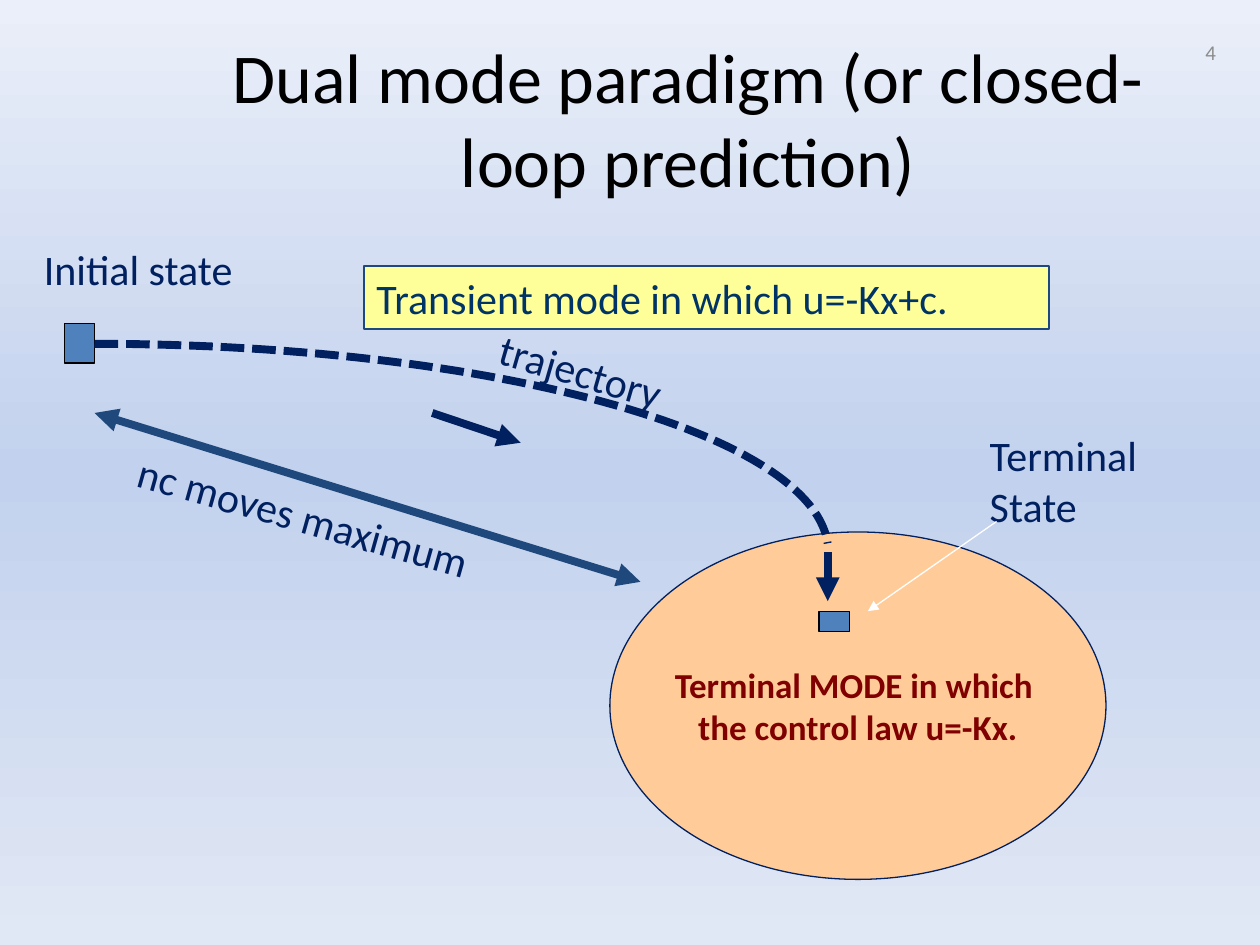
from copy import deepcopy

from lxml.etree import SubElement
from pptx import Presentation
from pptx.dml.color import RGBColor
from pptx.enum.dml import MSO_LINE
from pptx.enum.shapes import MSO_CONNECTOR, MSO_SHAPE
from pptx.enum.text import MSO_ANCHOR, MSO_AUTO_SIZE, PP_ALIGN
from pptx.oxml.ns import qn
from pptx.util import Pt

NAVY = RGBColor(0x00, 0x20, 0x60)
BLUE = RGBColor(0x1F, 0x49, 0x7D)
STATE_BLUE = RGBColor(0x4F, 0x81, 0xBD)
TEAL = RGBColor(0x00, 0x33, 0x66)
MAROON = RGBColor(0x80, 0x00, 0x00)
PEACH = RGBColor(0xFF, 0xCC, 0x99)
YELLOW = RGBColor(0xFF, 0xFF, 0x99)
GREY = RGBColor(0x8C, 0x8C, 0x8C)
BLACK = RGBColor(0x00, 0x00, 0x00)
WHITE = RGBColor(0xFF, 0xFF, 0xFF)
SKY = [RGBColor(0xEA, 0xEF, 0xF9), RGBColor(0xC2, 0xD1, 0xED), RGBColor(0xE1, 0xE8, 0xF5)]


def write(shape, text, size=24, color=NAVY, bold=False, align=PP_ALIGN.LEFT,
          anchor=MSO_ANCHOR.TOP, wrap=True):
    frame = shape.text_frame
    frame.text = text
    frame.word_wrap = wrap
    frame.auto_size = MSO_AUTO_SIZE.NONE
    frame.vertical_anchor = anchor
    for paragraph in frame.paragraphs:
        paragraph.alignment = align
        font = paragraph.font
        font.name, font.size, font.bold = "Calibri", Pt(size), bold
        font.color.rgb = color


def add_filled(preset, left, top, width, height, fill, line):
    shape = slide.shapes.add_shape(preset, Pt(left), Pt(top), Pt(width), Pt(height))
    shape.shadow.inherit = False
    shape.fill.solid()
    shape.fill.fore_color.rgb = fill
    shape.line.color.rgb = line
    shape.line.width = Pt(0.75)
    return shape


presentation = Presentation()
presentation.slide_width, presentation.slide_height = Pt(720), Pt(540)
slide = presentation.slides.add_slide(presentation.slide_layouts[5])

background = slide.background.fill
background.gradient()
background.gradient_angle = 270
stop_list = slide.element.find(".//" + qn("a:gsLst"))
stop_list.append(deepcopy(stop_list[-1]))
for stop, color, position in zip(background.gradient_stops, SKY, (0, 0.5, 1)):
    stop.color.rgb = color
    stop.position = position

title = slide.shapes.title
title.left, title.top, title.width, title.height = Pt(105), Pt(11.5), Pt(576), Pt(111.5)
write(title, "Dual mode paradigm (or closed-loop prediction)", size=40, color=BLACK,
      align=PP_ALIGN.CENTER, anchor=MSO_ANCHOR.MIDDLE)

number = slide.shapes.add_textbox(Pt(552), Pt(12), Pt(150), Pt(36))
write(number, "4", size=12, color=GREY, align=PP_ALIGN.RIGHT, anchor=MSO_ANCHOR.MIDDLE)

terminal_region = add_filled(MSO_SHAPE.OVAL, 348.5, 304, 283.5, 198.5, PEACH, NAVY)
write(terminal_region, "Terminal MODE in which \nthe control law u=-Kx.", size=20,
      color=MAROON, bold=True, align=PP_ALIGN.CENTER, anchor=MSO_ANCHOR.MIDDLE, wrap=False)

add_filled(MSO_SHAPE.RECTANGLE, 36.75, 185, 17.25, 22.5, STATE_BLUE, BLACK)

curve = [(54, 196.5), (278.5, 196.5), (463.5, 246.5), (473, 310.5)]
steps = 60
points = []
for step in range(steps + 1):
    t = step / steps
    weights = ((1 - t) ** 3, 3 * t * (1 - t) ** 2, 3 * t * t * (1 - t), t ** 3)
    points.append([Pt(sum(w * point[axis] for w, point in zip(weights, curve))) for axis in (0, 1)])
builder = slide.shapes.build_freeform(*points[0])
builder.add_line_segments(points[1:], close=False)
trajectory = builder.convert_to_shape()
trajectory.shadow.inherit = False
trajectory.fill.background()
trajectory.line.color.rgb = NAVY
trajectory.line.width = Pt(4.5)
trajectory.line.dash_style = MSO_LINE.SQUARE_DOT

labels = [
    ("Initial state", 18, 135.5, 144, 36.5, 0),
    ("trajectory", 277, 196, 124, 36, 16.1),
    ("nc moves maximum", 68.5, 281, 237, 36, 15.7),
    ("Terminal\nState", 558.5, 242, 122.5, 65.5, 0),
]
for text, left, top, width, height, rotation in labels:
    label = slide.shapes.add_textbox(Pt(left), Pt(top), Pt(width), Pt(height))
    label.rotation = rotation
    write(label, text)

transient_mode = add_filled(MSO_SHAPE.RECTANGLE, 208, 152, 391.5, 36, YELLOW, BLUE)
write(transient_mode, "Transient mode in which u=-Kx+c.", color=TEAL)

add_filled(MSO_SHAPE.RECTANGLE, 468, 349.25, 17.25, 11.5, STATE_BLUE, BLACK)

arrows = [
    (247, 236, 297.5, 253, NAVY, 4.5, ["tailEnd"]),
    (54, 236, 366, 332.5, BLUE, 4.5, ["headEnd", "tailEnd"]),
    (473, 315.5, 473, 343.5, NAVY, 4.5, ["tailEnd"]),
    (569.5, 298, 496, 349.25, WHITE, 0.75, ["tailEnd"]),
]
for x1, y1, x2, y2, color, width, ends in arrows:
    arrow = slide.shapes.add_connector(MSO_CONNECTOR.STRAIGHT, Pt(x1), Pt(y1), Pt(x2), Pt(y2))
    arrow.line.color.rgb = color
    arrow.line.width = Pt(width)
    properties = arrow.element.spPr
    for end in ends:
        SubElement(properties.find(qn("a:ln")), qn("a:" + end), type="triangle")
    SubElement(properties, qn("a:effectLst"))

presentation.save("out.pptx")
